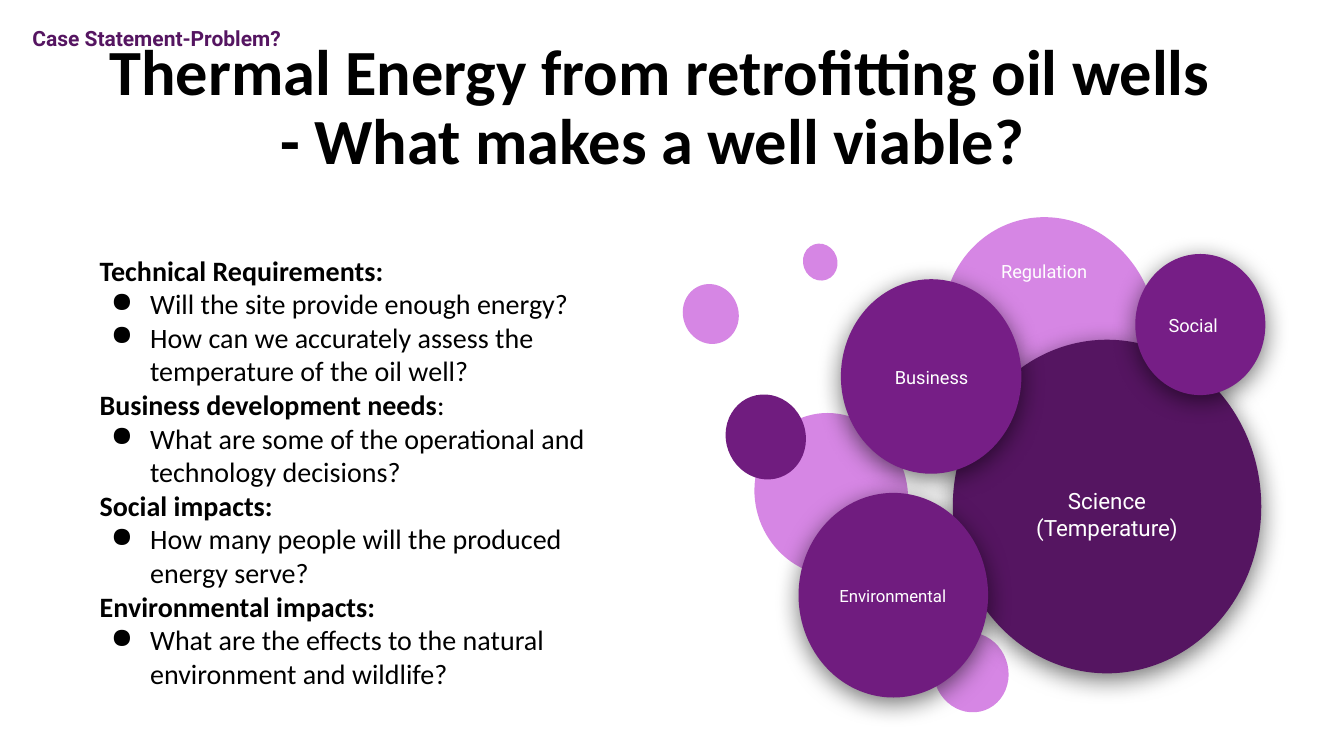
from dataclasses import dataclass

from lxml.etree import SubElement
from pptx import Presentation
from pptx.dml.color import RGBColor
from pptx.enum.shapes import MSO_SHAPE as Shape
from pptx.enum.text import MSO_ANCHOR as Anchor, PP_ALIGN as Align
from pptx.oxml.ns import qn
from pptx.util import Pt

EMU_PER_PX = 9144  # 100 px to the inch


@dataclass(frozen=True)
class Theme:
    black: str = "000000"
    white: str = "FFFFFF"
    orchid: str = "D686E4"
    plum: str = "701C7F"
    violet: str = "761E86"
    aubergine: str = "551561"
    heading_font: str = "Calibri"
    label_font: str = "Roboto"
    title_size: int = 46
    body_size: int = 20
    science_size: int = 16
    kicker_size: int = 15
    label_size: int = 13
    small_label_size: int = 12


THEME = Theme()

# left, top, width, height, colour
PLAIN_BUBBLES = [
    (248, 407, 80, 74, THEME.orchid),
    (0, 61, 60, 55, THEME.orchid),
    (68, 192, 163, 151, THEME.orchid),
    (252, 0, 228, 211, THEME.orchid),
    (42, 171, 85, 79, THEME.plum),
    (120, 20, 37, 34, THEME.orchid),
]

# bubble box, colour, label box, label lines, label size, alignment
LABELLED_BUBBLES = [
    ((270, 114, 306, 331), THEME.aubergine, (306, 208, 234, 158),
     ["Science", "(Temperature)"], THEME.science_size, Align.CENTER),
    ((159, 54, 179, 193), THEME.violet, (188, 87, 122, 128),
     ["Business"], THEME.label_size, Align.CENTER),
    ((117, 266, 188, 203), THEME.plum, (143, 304, 135, 128),
     ["Environmental"], THEME.small_label_size, Align.CENTER),
    ((451, 29, 129, 140), THEME.violet, (471, 53, 88, 93),
     ["Social"], THEME.label_size, Align.LEFT),
]

# heading, plain text after the heading, questions
REQUIREMENTS = [
    ("Technical Requirements:", "",
     ["Will the site provide enough energy?",
      "How can we accurately assess the temperature of the oil well?"]),
    ("Business development needs", ":",
     ["What are some of the operational and technology decisions?"]),
    ("Social impacts:", "",
     ["How many people will the produced energy serve?"]),
    ("Environmental impacts:", "",
     ["What are the effects to the natural environment and wildlife?"]),
]


def px(value):
    return value * EMU_PER_PX


def shift(box, origin):
    left, top, width, height = box
    return left + origin[0], top + origin[1], width, height


def set_attributes(target, values):
    for name, value in values.items():
        setattr(target, name, value)


def add_run(paragraph, text, font, size, colour, bold=False):
    run = paragraph.add_run()
    run.text = text
    set_attributes(run.font, {"name": font, "size": Pt(size), "bold": bold})
    run.font.color.rgb = RGBColor.from_string(colour)


def add_frame(slide, box, anchor, side_inset, end_inset):
    frame = slide.shapes.add_textbox(*map(px, box)).text_frame
    set_attributes(frame, {
        "word_wrap": True, "vertical_anchor": anchor,
        "margin_left": px(side_inset), "margin_right": px(side_inset),
        "margin_top": px(end_inset), "margin_bottom": px(end_inset),
    })
    return frame


def next_paragraph(frame):
    """Return the empty first paragraph, or a new one once it has text."""
    first = frame.paragraphs[0]
    return frame.add_paragraph() if first.runs else first


def add_label(slide, box, lines, size, align=Align.LEFT,
              colour=THEME.white, bold=False, spacing=1.0):
    frame = add_frame(slide, box, Anchor.MIDDLE, 13, 13)
    for line in lines:
        paragraph = next_paragraph(frame)
        set_attributes(paragraph, {"alignment": align, "line_spacing": spacing})
        add_run(paragraph, line, THEME.label_font, size, colour, bold)


def add_bubble(slide, box, colour):
    bubble = slide.shapes.add_shape(Shape.OVAL, *map(px, box))
    bubble.shadow.inherit = False
    bubble.fill.solid()
    bubble.fill.fore_color.rgb = RGBColor.from_string(colour)
    bubble.line.fill.background()
    return bubble


def add_soft_shadow(shape):
    effects = shape._element.spPr.find(qn("a:effectLst"))
    shadow = SubElement(effects, qn("a:outerShdw"), blurRad=str(Pt(18)),
                        dist=str(Pt(4)), dir="5400000", algn="ctr",
                        rotWithShape="0")
    colour = SubElement(shadow, qn("a:srgbClr"), val=THEME.black)
    SubElement(colour, qn("a:alpha"), val="55000")


def add_bullet(paragraph):
    properties = paragraph._p.get_or_add_pPr()
    properties.set("marL", str(px(50)))
    properties.set("indent", str(px(-39)))
    colour = SubElement(properties, qn("a:buClr"))
    SubElement(colour, qn("a:srgbClr"), val=THEME.black)
    SubElement(properties, qn("a:buChar"), char="●")


def add_title(slide, box):
    frame = add_frame(slide, box, Anchor.BOTTOM, 10, 5)
    paragraph = frame.paragraphs[0]
    set_attributes(paragraph, {"alignment": Align.CENTER, "line_spacing": 0.9})
    add_run(paragraph,
            "Thermal Energy from retrofitting oil wells - What makes a well viable? ",
            THEME.heading_font, THEME.title_size, THEME.black, True)


def add_bubble_diagram(slide, origin):
    for *box, colour in PLAIN_BUBBLES:
        add_bubble(slide, shift(box, origin), colour).rotation = 250
    for box, colour, label_box, lines, size, align in LABELLED_BUBBLES:
        add_soft_shadow(add_bubble(slide, shift(box, origin), colour))
        add_label(slide, shift(label_box, origin), lines, size, align)
    add_label(slide, shift((305, 0, 140, 93), origin), ["Regulation"],
              THEME.label_size)


def add_requirements(slide, box):
    frame = add_frame(slide, box, Anchor.TOP, 10, 10)
    style = (THEME.heading_font, THEME.body_size, THEME.black)
    for heading, suffix, questions in REQUIREMENTS:
        paragraph = next_paragraph(frame)
        add_run(paragraph, heading, *style, bold=True)
        if suffix:
            add_run(paragraph, suffix, *style)
        for question in questions:
            paragraph = next_paragraph(frame)
            add_bullet(paragraph)
            add_run(paragraph, question, *style)


def main():
    presentation = Presentation()
    set_attributes(presentation, {"slide_width": px(1333), "slide_height": px(750)})
    slide = presentation.slides.add_slide(presentation.slide_layouts[6])
    add_title(slide, (89, 33, 1130, 149))
    add_bubble_diagram(slide, (675, 223))
    add_requirements(slide, (89, 241, 555, 458))
    add_label(slide, (19, 11, 345, 50), ["Case Statement-Problem?"],
              THEME.kicker_size, colour=THEME.aubergine, bold=True, spacing=1.15)
    presentation.save("out.pptx")


if __name__ == "__main__":
    main()
